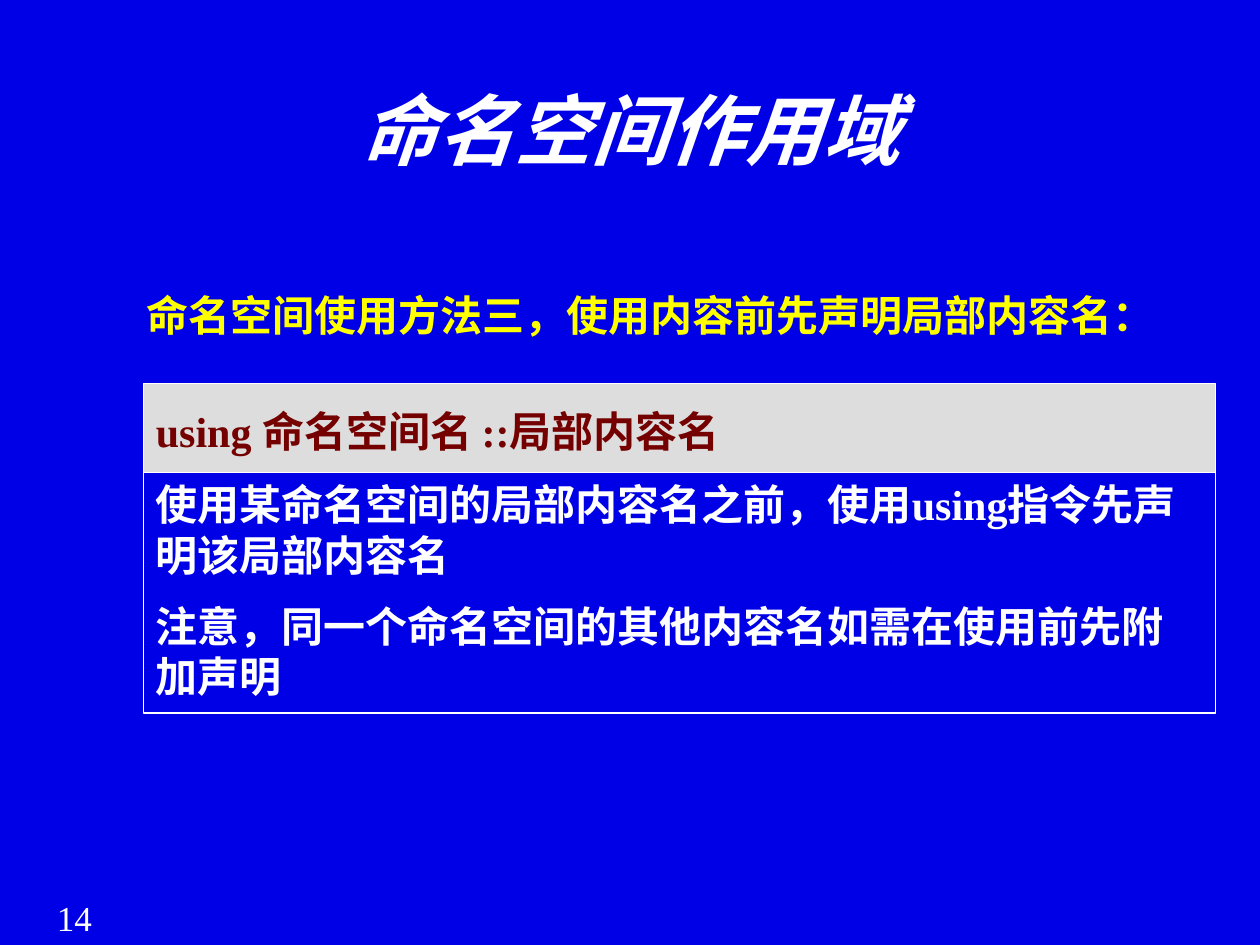
import pptx
import pptx.dml.color
import pptx.enum.shapes
import pptx.enum.text
import pptx.util

Pt = pptx.util.Pt
RGBColor = pptx.dml.color.RGBColor
PP_ALIGN = pptx.enum.text.PP_ALIGN
MSO_ANCHOR = pptx.enum.text.MSO_ANCHOR

BLUE = RGBColor(0x00, 0x00, 0xE7)
WHITE = RGBColor(0xFF, 0xFF, 0xFF)
GREY = RGBColor(0xDD, 0xDD, 0xDD)
MAROON = RGBColor(0x74, 0x00, 0x00)
YELLOW = RGBColor(0xFF, 0xFF, 0x00)
FONT = "Times New Roman"


def write_text(shape, text, size, color, bold=True, italic=False,
               align=PP_ALIGN.LEFT, anchor=MSO_ANCHOR.TOP, line_spacing=1.0):
    frame = shape.text_frame
    frame.word_wrap = True
    frame.vertical_anchor = anchor
    frame.text = text
    for index, paragraph in enumerate(frame.paragraphs):
        paragraph.alignment = align
        paragraph.line_spacing = line_spacing
        paragraph.space_before = Pt(size / 2 if index else 0)
        for run in paragraph.runs:
            run.font.name = FONT
            run.font.size = Pt(size)
            run.font.bold = bold
            run.font.italic = italic
            run.font.color.rgb = color


def add_label(slide, left, top, width, height, text, size, color, **style):
    label = slide.shapes.add_textbox(Pt(left), Pt(top), Pt(width), Pt(height))
    write_text(label, text, size, color, **style)


def add_panel(slide, left, top, width, height, fill, text, color, **style):
    panel = slide.shapes.add_shape(
        pptx.enum.shapes.MSO_SHAPE.RECTANGLE,
        Pt(left), Pt(top), Pt(width), Pt(height))
    panel.shadow.inherit = False
    if fill is None:
        panel.fill.background()
    else:
        panel.fill.solid()
        panel.fill.fore_color.rgb = fill
    panel.line.color.rgb = WHITE
    panel.line.width = Pt(0.75)
    write_text(panel, text, 24, color, **style)


def add_syntax_card(slide, left, top, width, height):
    header_height = 51
    add_panel(slide, left, top, width, header_height, GREY,
              "using 命名空间名 ::局部内容名", MAROON,
              anchor=MSO_ANCHOR.MIDDLE, line_spacing=1.1)
    add_panel(slide, left, top + header_height, width, height - header_height, None,
              "使用某命名空间的局部内容名之前，使用using指令先声明该局部内容名\n"
              "注意，同一个命名空间的其他内容名如需在使用前先附加声明", WHITE)


def main():
    deck = pptx.Presentation()
    deck.slide_width = Pt(720)
    deck.slide_height = Pt(540)
    slide = deck.slides.add_slide(deck.slide_layouts[6])
    slide.background.fill.solid()
    slide.background.fill.fore_color.rgb = BLUE

    add_label(slide, 12.5, 509, 60, 31, "14", 20, WHITE,
              bold=False, align=PP_ALIGN.CENTER)
    add_label(slide, 42.5, 43.2, 635.8, 60.5, "命名空间作用域", 44, WHITE,
              italic=True, align=PP_ALIGN.CENTER, anchor=MSO_ANCHOR.MIDDLE)
    add_syntax_card(slide, 82, 219, 612.5, 188.5)
    add_label(slide, 76.5, 162, 596, 36,
              "命名空间使用方法三，使用内容前先声明局部内容名：", 24, YELLOW)

    deck.save("out.pptx")


if __name__ == "__main__":
    main()
